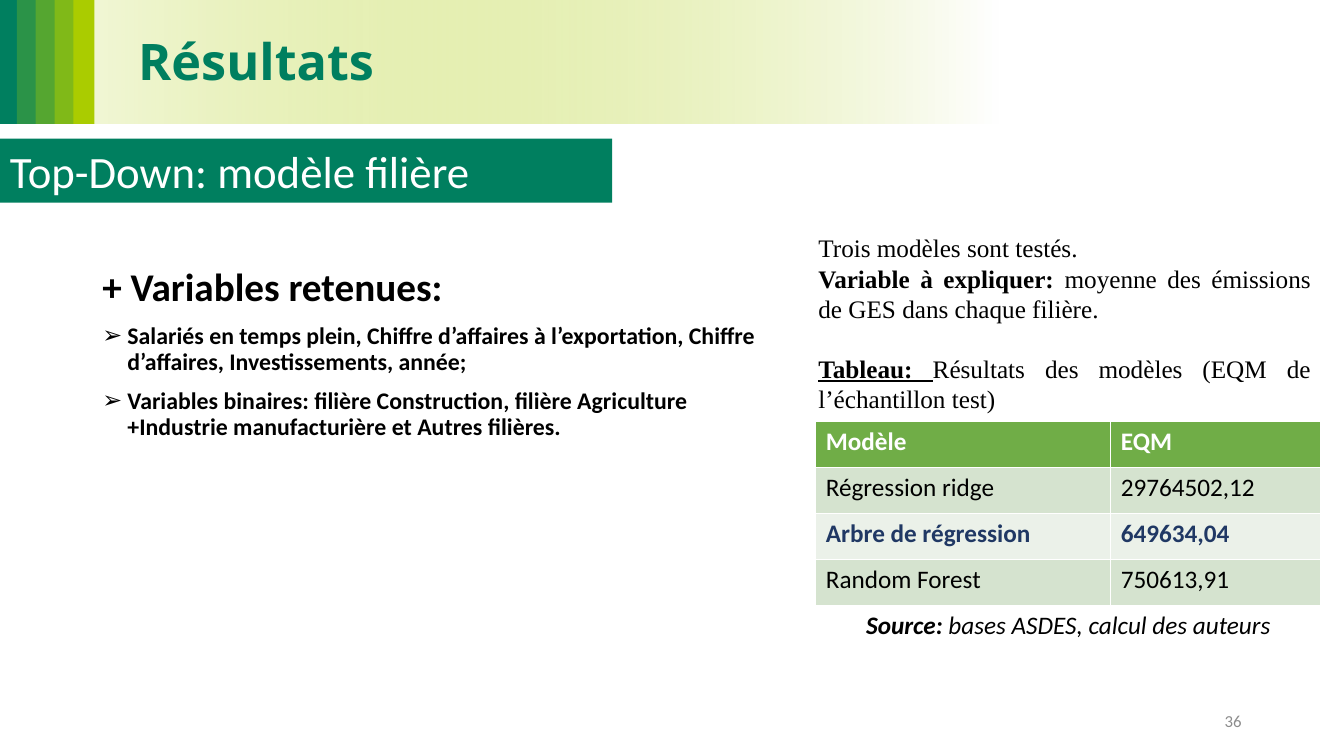
"""Build the results slide of the top-down sector model."""
from lxml.etree import SubElement
from pptx import Presentation
from pptx.dml.color import RGBColor
from pptx.enum.shapes import MSO_SHAPE
from pptx.enum.text import MSO_ANCHOR as Anchor, MSO_AUTO_SIZE as AutoSize, PP_ALIGN as Align
from pptx.oxml.ns import qn
from pptx.util import Emu, Pt

PX = 9525
GREEN = "007F5F"


def color(hex_code):
    return RGBColor.from_string(hex_code)


def style(paragraph, size, hex_code, face="Calibri", bold=False):
    font = paragraph.font
    font.size, font.name, font.bold = Pt(size), face, bold
    font.color.rgb = color(hex_code)


prs = Presentation()
prs.slide_width, prs.slide_height = 1280 * PX, 720 * PX
slide = prs.slides.add_slide(prs.slide_layouts[5])
shapes = slide.shapes

banner = shapes.add_shape(MSO_SHAPE.RECTANGLE, 81 * PX, 0, 870 * PX, 118 * PX)
banner.shadow.inherit = False
banner.line.fill.background()
banner.fill.gradient()
banner.fill.gradient_angle = 180
for stop, hex_code in zip(banner.fill.gradient_stops, ("FFFFFF", "AACC00")):
    stop.color.rgb = color(hex_code)
lime = banner._element.spPr.findall(".//" + qn("a:srgbClr"))[-1]
SubElement(lime, qn("a:alpha")).set("val", "16000")

for i, hex_code in enumerate((GREEN, "2B9348", "55A630", "80B918", "AACC00")):
    stripe = shapes.add_shape(MSO_SHAPE.RECTANGLE, (18 * i - 2) * PX, 0, 20 * PX, 118 * PX)
    stripe.shadow.inherit = False
    stripe.line.fill.background()
    stripe.fill.solid()
    stripe.fill.fore_color.rgb = color(hex_code)

title = shapes.title
shapes._spTree.append(title._element)
title.left, title.top, title.width, title.height = (Emu(n * PX) for n in (122, 24, 656, 68))
title.text_frame.text = "Résultats"
title.text_frame.auto_size = AutoSize.NONE
title.text_frame.vertical_anchor = Anchor.TOP
title.text_frame.paragraphs[0].alignment = Align.LEFT
style(title.text_frame.paragraphs[0], 36, GREEN, "Noto Sans", True)

variables = shapes.add_textbox(88 * PX, 250 * PX, 668 * PX, 399 * PX).text_frame
variables.word_wrap = True
variables.text = (
    "+ Variables retenues:\n"
    "Salariés en temps plein, Chiffre d’affaires à l’exportation, Chiffre d’affaires, "
    "Investissements, année;\n"
    "Variables binaires: filière Construction, filière Agriculture "
    "+Industrie manufacturière et Autres filières."
)
for i, paragraph in enumerate(variables.paragraphs):
    paragraph.line_spacing = 0.9
    if i:
        paragraph.space_before = Pt(10)
        props = paragraph._p.get_or_add_pPr()
        props.set("marL", str(24 * PX))
        props.set("indent", str(-24 * PX))
        SubElement(props, qn("a:buFont")).set("typeface", "Wingdings")
        props[-1].set("typeface", "Arial")
        SubElement(props, qn("a:buChar")).set("char", "➢")
    style(paragraph, 17 if i else 28, "000000", bold=True)

results = (
    ("Modèle", "EQM", "70AD47", "FFFFFF", True),
    ("Régression ridge", "29764502,12", "D5E3CF", "000000", False),
    ("Arbre de régression", "649634,04", "EBF1E9", "203864", True),
    ("Random Forest", "750613,91", "D5E3CF", "000000", False),
)
table = shapes.add_table(5, 2, 777 * PX, 401 * PX, 481 * PX, 220 * PX).table
table.columns[0].width, table.columns[1].width = 281 * PX, 200 * PX
for r, (model, error, fill, ink, bold) in enumerate(results):
    for c, value in enumerate((model, error)):
        cell = table.cell(r, c)
        cell.text = value
        cell.fill.solid()
        cell.fill.fore_color.rgb = color(fill)
        style(cell.text_frame.paragraphs[0], 18, ink, bold=bold)

source = table.cell(4, 0)
source.merge(table.cell(4, 1))
for cell in table.rows[4].cells:
    cell.fill.solid()
    cell.fill.fore_color.rgb = color("FFFFFF")
credit = source.text_frame.paragraphs[0]
credit.alignment = Align.CENTER
style(credit, 18, "000000")
credit.font.italic = True
for text, bold in (("Source: ", True), ("bases ASDES, calcul des auteurs", False)):
    run = credit.add_run()
    run.text, run.font.bold = text, bold

method = shapes.add_textbox(770 * PX, 217 * PX, 488 * PX, 184 * PX).text_frame
method.word_wrap = True
notes = (
    ("", "Trois modèles sont testés.", 0),
    ("Variable à expliquer: ", "moyenne des émissions de GES dans chaque filière.", 0),
    ("Tableau: ", "Résultats des modèles (EQM de l’échantillon test)", 21),
)
for i, (label, text, gap) in enumerate(notes):
    paragraph = method.add_paragraph() if i else method.paragraphs[0]
    paragraph.alignment = Align.JUSTIFY
    if gap:
        paragraph.space_before = Pt(gap)
    style(paragraph, 18, "000000", "Times New Roman")
    if label:
        lead = paragraph.add_run()
        lead.text, lead.font.bold = label, True
        lead.font.underline = gap > 0
    paragraph.add_run().text = text

section = shapes.add_shape(MSO_SHAPE.RECTANGLE, 0, 132 * PX, 583 * PX, 61 * PX)
section.shadow.inherit = False
section.line.fill.background()
section.fill.solid()
section.fill.fore_color.rgb = color(GREEN)
section.text_frame.text = "Top-Down: modèle filière"
section.text_frame.paragraphs[0].alignment = Align.LEFT
style(section.text_frame.paragraphs[0], 32, "FFFFFF")

page = shapes.add_textbox(904 * PX, 667 * PX, 288 * PX, 38 * PX).text_frame
page.vertical_anchor = Anchor.MIDDLE
page.word_wrap = True
page.text = "36"
page.paragraphs[0].alignment = Align.RIGHT
style(page.paragraphs[0], 12, "8C8C8C")

prs.save("out.pptx")
